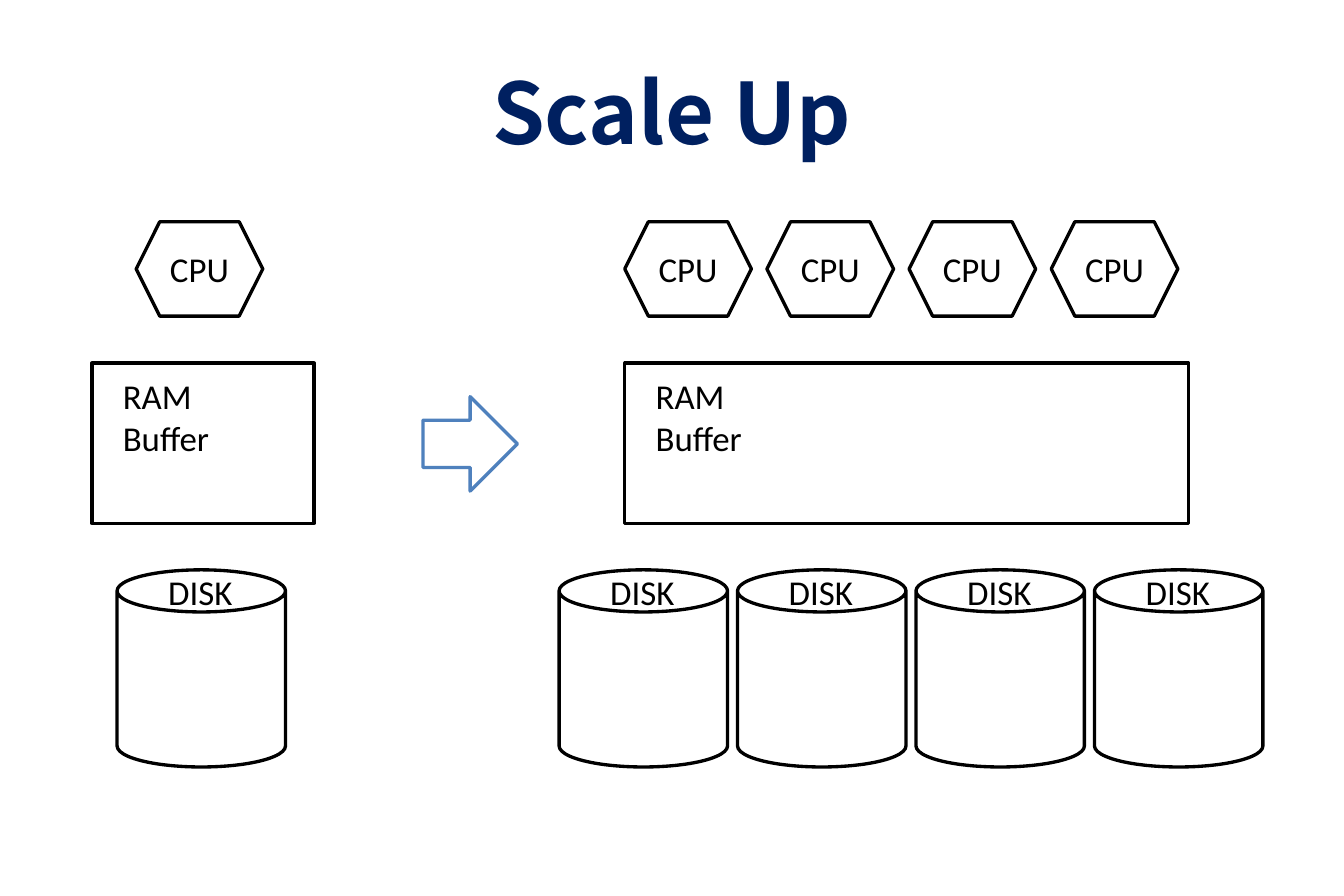
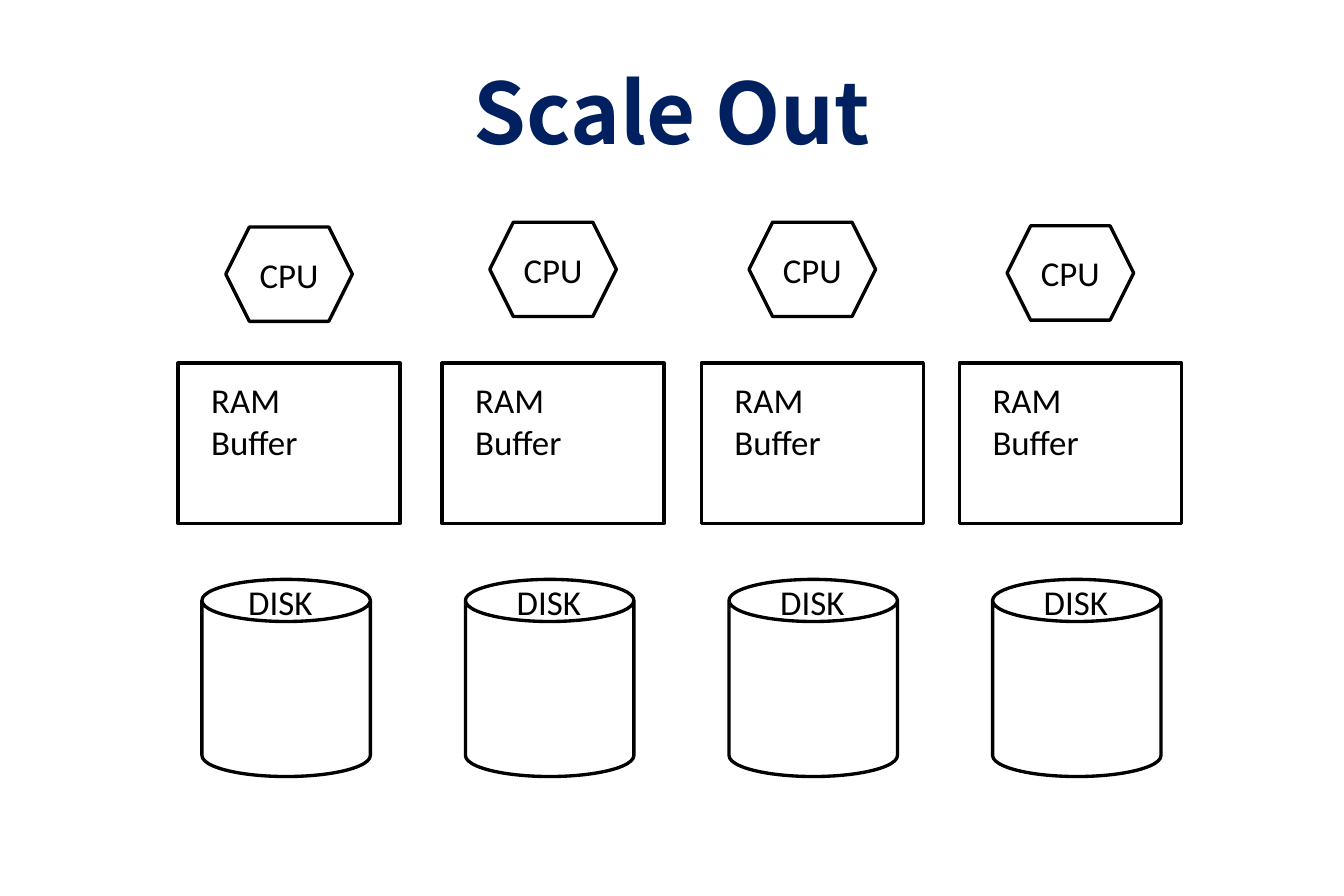
from dataclasses import dataclass

from pptx import Presentation
from pptx.dml.color import RGBColor as RGB
from pptx.enum.shapes import MSO_SHAPE as SHAPE
from pptx.enum.text import MSO_ANCHOR as ANCHOR, MSO_AUTO_SIZE as FIT, PP_ALIGN as ALIGN
from pptx.util import Inches, Pt


@dataclass(frozen=True)
class Theme:
    title: RGB = RGB.from_string("002060")
    ink: RGB = RGB.from_string("000000")
    paper: RGB = RGB.from_string("FFFFFF")
    arrow: RGB = RGB.from_string("4F81BD")
    title_font: str = "Noto Sans CJK SC"
    label_font: str = "Calibri"
    title_size: Pt = Pt(51)
    label_size: Pt = Pt(21)
    line: Pt = Pt(2)


theme = Theme()
prs = Presentation()
prs.slide_width, prs.slide_height = Inches(11.25), Inches(7.5)

# The grid has 90 columns and 60 rows of square cells.
CELL = prs.slide_width / 90
CPU_SIZE = (8.48, 6.32)
RAM_WIDTH, RAM_HEIGHT, RAM_TOP = 14.88, 10.72, 24.32
DISK_SIZE = (11.28, 13.2)
ARROW_BOX = (28.32, 26.56, 6.32, 6.32)
TITLE_BOX = (4.5, 2.4, 80.96, 10)

TITLE_FORMAT = dict(name=theme.title_font, size=theme.title_size, bold=True)
LABEL_FORMAT = dict(name=theme.label_font, size=theme.label_size)

ram_lefts = (11.92, 29.6, 46.96, 64.24)
slides = (
    dict(
        title="Scale Up",
        cpus=[(9.12, 14.85)] + [(41.84 + 9.52 * i, 14.85) for i in range(4)],
        rams=[(6.16, RAM_WIDTH), (41.84, 37.76)],
        ram_inset=(1.28, 0.4),
        disk_top=38.16,
        disks=[(7.84, 2.64)] + [(37.44 + 11.95 * i, 2.64) for i in range(4)],
        arrow=True,
    ),
    dict(
        title="Scale Out",
        cpus=[(left + 3.2, top)
              for left, top in zip(ram_lefts, (15.2, 14.88, 14.88, 15.12))],
        rams=[(left, RAM_WIDTH) for left in ram_lefts],
        ram_inset=(1.44, 0.64),
        disk_top=38.8,
        disks=[(13.52 + 17.65 * i, inset)
               for i, inset in enumerate((2.32, 2.64, 2.64, 2.64))],
        arrow=False,
    ),
)


def write(sp, text, color, formats, align, box=None):
    """Put one formatted paragraph in a shape, first moving it to box if given."""
    if box:
        sp.left, sp.top, sp.width, sp.height = (round(n * CELL) for n in box)
    tf = sp.text_frame
    p = tf.paragraphs[0]
    p.text, p.alignment = text, align
    for r in p.runs:
        r.font.color.rgb = color
        for key, value in formats.items():
            setattr(r.font, key, value)
    return tf


def outline(s, kind, box, color=theme.ink):
    """Add a white preset shape with a coloured outline."""
    sp = s.shapes.add_shape(kind, *(round(n * CELL) for n in box))
    sp.shadow.inherit = False
    sp.fill.solid()
    sp.fill.fore_color.rgb = theme.paper
    sp.line.color.rgb, sp.line.width = color, theme.line
    return sp


for data in slides:
    s = prs.slides.add_slide(prs.slide_layouts[5])
    tf = write(s.shapes.title, data["title"], theme.title, TITLE_FORMAT,
               ALIGN.CENTER, TITLE_BOX)
    tf.vertical_anchor, tf.auto_size = ANCHOR.MIDDLE, FIT.NONE
    tf.margin_left = tf.margin_right = Inches(0.12)
    tf.margin_top = tf.margin_bottom = Inches(0.06)

    for left, top in data["cpus"]:
        sp = outline(s, SHAPE.HEXAGON, (left, top, *CPU_SIZE))
        tf = write(sp, "CPU", theme.ink, LABEL_FORMAT, ALIGN.CENTER)
        tf.vertical_anchor, tf.word_wrap = ANCHOR.MIDDLE, False

    labels = []
    dx, dy = data["ram_inset"]
    for left, width in data["rams"]:
        outline(s, SHAPE.RECTANGLE, (left, RAM_TOP, width, RAM_HEIGHT))
        labels.append(("RAM\vBuffer", (left + dx, RAM_TOP + dy, 8.56, 6.48), True))
    for left, inset in data["disks"]:
        outline(s, SHAPE.CAN, (left, data["disk_top"], *DISK_SIZE))
        labels.append(("DISK", (left + inset, data["disk_top"] - 0.32, 5.92, 3.6), False))

    for text, box, wrap in labels:
        tf = write(s.shapes.add_textbox(0, 0, 0, 0), text, theme.ink,
                   LABEL_FORMAT, ALIGN.LEFT, box)
        tf.word_wrap, tf.auto_size = wrap, FIT.SHAPE_TO_FIT_TEXT

    if data["arrow"]:
        outline(s, SHAPE.RIGHT_ARROW, ARROW_BOX, theme.arrow)

prs.save("out.pptx")
